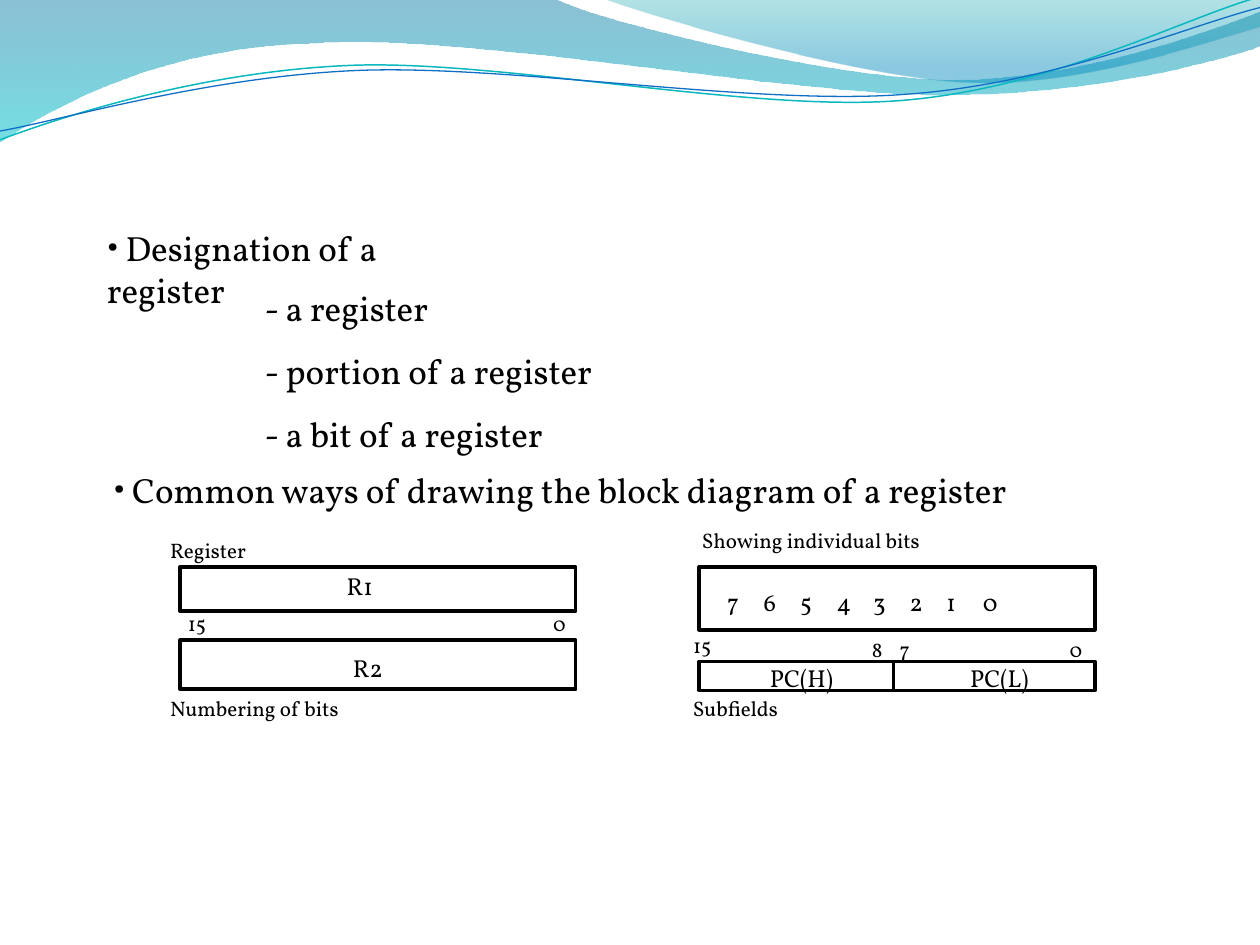
from lxml import etree
from pptx import Presentation
from pptx.dml.color import RGBColor
from pptx.enum.shapes import MSO_CONNECTOR, MSO_SHAPE
from pptx.enum.text import MSO_ANCHOR, MSO_AUTO_SIZE
from pptx.oxml.ns import qn
from pptx.util import Inches, Pt

BLACK = RGBColor(0x00, 0x00, 0x00)
TEAL = RGBColor(0x0A, 0xB8, 0xBF)
BLUE = RGBColor(0x0F, 0x6F, 0xC6)
DEEP = RGBColor(0x00, 0x74, 0xA1)
AQUA = RGBColor(0x00, 0xC6, 0xCF)
SEA = RGBColor(0x00, 0xA1, 0xA9)
SKY = RGBColor(0x00, 0x8B, 0xBF)

RECT = MSO_SHAPE.RECTANGLE
STRAIGHT = MSO_CONNECTOR.STRAIGHT
TOP = MSO_ANCHOR.TOP
GROW = MSO_AUTO_SIZE.SHAPE_TO_FIT_TEXT

FONT = "Vollkorn"
BIT_GAP = 0.29
UNITS = 1000  # outline units to the inch

# Each outline is a list of points: two coordinates make a straight
# segment, six make a cubic curve.
BAND = [(0, 0), (4.4, -0.01), (4.76, 0.17, 6.64, 0.63, 7.58, 0.63),
        (8.53, 0.63, 9.58, 0.26, 10, 0.09), (10.01, 0.36),
        (9.83, 0.44, 8.7, 0.76, 7.46, 0.75),
        (6.22, 0.75, 3.82, 0.28, 2.57, 0.34),
        (1.29, 0.36, 0.46, 0.83, -0.01, 1.13)]
CREST = [(4.79, -0.01), (5.09, 0.11, 6.82, 0.62, 7.69, 0.65),
         (8.56, 0.69, 9.61, 0.32, 10, 0.21), (10, 0)]
TEAL_WAVE = [(0, 1.11), (0.48, 0.93, 1.58, 0.57, 2.77, 0.52),
             (3.95, 0.47, 5.93, 0.89, 7.13, 0.8),
             (8.33, 0.71, 9.38, 0.15, 9.98, -0.02)]
BLUE_WAVE = [(0, 1.04), (0.47, 0.96, 1.64, 0.61, 2.83, 0.56),
             (4.03, 0.51, 5.97, 0.84, 7.17, 0.75),
             (8.36, 0.67, 9.41, 0.21, 10, 0.06)]


def add_path(slide, outline, close):
    """Build the outline through its end points, then bend its curves."""
    parts = [[round(n * UNITS) for n in part] for part in outline]
    ends = [part[-2:] for part in parts]
    build = slide.shapes.build_freeform(*ends[0], scale=Inches(1) / UNITS)
    build.add_line_segments(ends[1:], close=close)
    shape = build.convert_to_shape()
    shape.shadow.inherit = False
    left = min(x for x, y in ends)
    top = min(y for x, y in ends)
    sides = list(shape.element.spPr.iter(qn("a:lnTo")))
    for side, part in zip(sides, parts[1:]):
        if len(part) == 2:
            continue
        curve = etree.Element(qn("a:cubicBezTo"))
        for x, y in zip(part[::2], part[1::2]):
            etree.SubElement(curve, qn("a:pt"), x=str(x - left),
                             y=str(y - top))
        side.getparent().replace(side, curve)
    return shape


def add_area(slide, outline, stops):
    """Fill an outline from top to bottom; a stop is place, colour, alpha %."""
    shape = add_path(slide, outline, True)
    shape.line.fill.background()
    shape.fill.gradient()
    shape.fill.gradient_angle = 270
    for stop, (place, color, alpha) in zip(shape.fill.gradient_stops, stops):
        stop.position = place
        stop.color.rgb = color
    tints = shape.element.spPr.iter(qn("a:srgbClr"))
    for tint, (place, color, alpha) in zip(tints, stops):
        etree.SubElement(tint, qn("a:alpha")).set("val", str(alpha * 1000))


def add_wave(slide, outline, color, width):
    shape = add_path(slide, outline, False)
    shape.fill.background()
    shape.line.color.rgb = color
    shape.line.width = Pt(width)


def add_frame(slide, left, top, width, height):
    shape = slide.shapes.add_shape(RECT, Inches(left), Inches(top),
                                   Inches(width), Inches(height))
    shape.shadow.inherit = False
    shape.fill.background()
    shape.line.color.rgb = BLACK
    shape.line.width = Pt(2)


def add_split(slide, x, top, bottom):
    line = slide.shapes.add_connector(STRAIGHT, Inches(x), Inches(top),
                                      Inches(x), Inches(bottom))
    line.line.color.rgb = BLACK
    line.line.width = Pt(2)
    etree.SubElement(line.element.spPr, qn("a:effectLst"))


def add_text(slide, lines, left, top, width, height, size,
             spacing=1.0, wrap=False, inset=(0.07, 0.03)):
    """Add a text box and return its paragraphs."""
    box = slide.shapes.add_textbox(Inches(left), Inches(top),
                                   Inches(width), Inches(height))
    frame = box.text_frame
    frame.word_wrap = wrap
    frame.auto_size = GROW
    frame.vertical_anchor = TOP
    frame.margin_left = frame.margin_right = Inches(inset[0])
    frame.margin_top = frame.margin_bottom = Inches(inset[1])
    frame.text = "\n".join(lines)
    for para in frame.paragraphs:
        para.line_spacing = spacing
        para.font.name = FONT
        para.font.size = Pt(size)
        para.font.color.rgb = BLACK
    return frame.paragraphs


def add_label(slide, text, left, top, width):
    add_text(slide, [text], left, top, width, 0.25, 12, 0.97)


def add_name(slide, text, left, top, width):
    add_text(slide, [text], left, top, width, 0.27, 14)


def add_bullet(para):
    last = para._p.get_or_add_pPr().find(qn("a:defRPr"))
    last.addprevious(etree.Element(qn("a:buFont"), typeface=FONT))
    last.addprevious(etree.Element(qn("a:buChar"), char="•"))


def add_bits(slide):
    """Write the bit numbers at equal tab stops."""
    bits = "\t".join(str(bit) for bit in range(7, -1, -1))
    para = add_text(slide, [bits], 5.7, 4.63, 2.49, 0.28, 14, wrap=True)[0]
    tabs = etree.Element(qn("a:tabLst"))
    for stop in range(1, 8):
        etree.SubElement(tabs, qn("a:tab"), algn="l",
                         pos=str(Inches(BIT_GAP * stop)))
    para._p.get_or_add_pPr().find(qn("a:defRPr")).addprevious(tabs)


def add_waves(slide):
    add_area(slide, BAND, [(0, DEEP, 45), (1, AQUA, 55)])
    add_area(slide, CREST, [(0, SEA, 30), (0.8, SKY, 45)])
    add_wave(slide, TEAL_WAVE, TEAL, 0.85)
    add_wave(slide, BLUE_WAVE, BLUE, 0.75)


def add_points(slide):
    first = add_text(slide, [" Designation of a register"], 0.75, 1.75,
                     3.2, 0.43, 20, wrap=True, inset=(0.1, 0.05))
    add_bullet(first[0])
    add_text(slide, ["- a register", "- portion of a register",
                     "- a bit of a register"], 2.03, 2.08, 3.2, 1.39, 20,
             1.5, wrap=True)
    second = add_text(
        slide, [" Common ways of drawing the block diagram of a register"],
        0.83, 3.74, 7.28, 0.39, 20, 0.85)
    add_bullet(second[0])


def add_blocks(slide):
    for frame in [(1.43, 4.5, 3.14, 0.35), (1.43, 5.08, 3.14, 0.39),
                  (5.55, 4.5, 3.14, 0.5), (5.55, 5.25, 3.14, 0.23)]:
        add_frame(slide, *frame)
    add_split(slide, 7.09, 5.26, 5.49)
    for label in [("Register", 1.28, 4.25, 0.9),
                  ("Numbering of bits", 1.28, 5.5, 1.5),
                  ("Showing individual bits", 5.5, 4.17, 2.01),
                  ("Subfields", 5.43, 5.5, 0.83),
                  ("15", 1.42, 4.83, 0.32), ("0", 4.32, 4.83, 0.23),
                  ("15", 5.43, 5, 0.32), ("8", 6.85, 5.03, 0.23),
                  ("7", 7.07, 5.03, 0.23), ("0", 8.42, 5.03, 0.23)]:
        add_label(slide, *label)
    for name in [("R1", 2.68, 4.5, 0.39), ("R2", 2.73, 5.15, 0.39),
                 ("PC(H)", 6.04, 5.23, 0.68), ("PC(L)", 7.63, 5.23, 0.66)]:
        add_name(slide, *name)
    add_bits(slide)


def main():
    deck = Presentation()
    deck.slide_width = Inches(10)
    deck.slide_height = Inches(7.5)
    slide = deck.slides.add_slide(deck.slide_layouts[6])
    add_waves(slide)
    add_points(slide)
    add_blocks(slide)
    deck.save("out.pptx")


if __name__ == "__main__":
    main()
